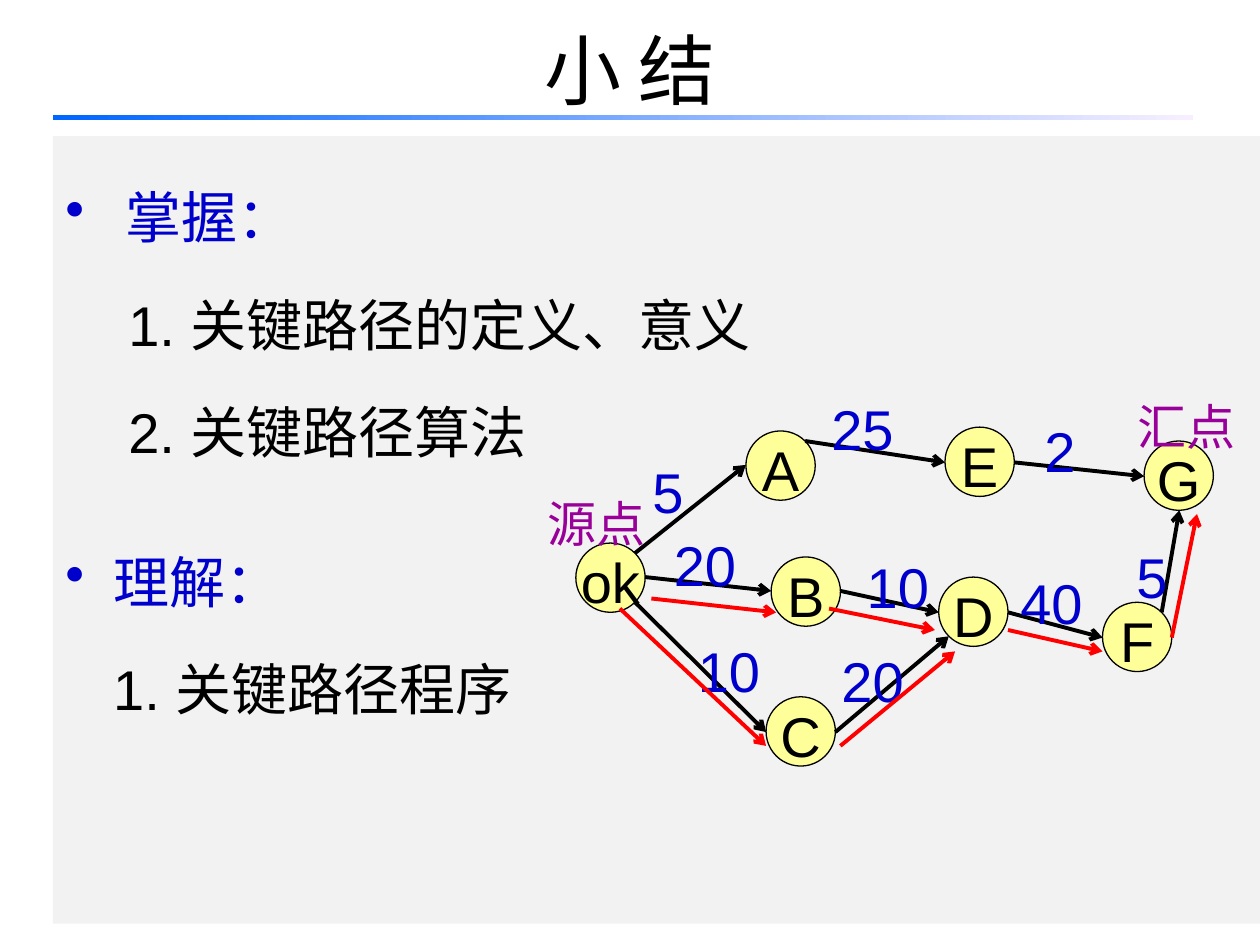
import pptx
import pptx.util
import pptx.dml.color
import pptx.enum.shapes
import pptx.enum.text
from lxml import etree
from pptx.oxml.ns import qn

Inches = pptx.util.Inches
Pt = pptx.util.Pt
RGBColor = pptx.dml.color.RGBColor
MSO_SHAPE = pptx.enum.shapes.MSO_SHAPE
PP_ALIGN = pptx.enum.text.PP_ALIGN
MSO_ANCHOR = pptx.enum.text.MSO_ANCHOR

BLACK = RGBColor(0x00, 0x00, 0x00)
BLUE = RGBColor(0x00, 0x00, 0xCC)
PURPLE = RGBColor(0x99, 0x00, 0x99)
RED = RGBColor(0xFF, 0x00, 0x00)
YELLOW = RGBColor(0xFF, 0xFF, 0x99)
PANEL_GRAY = RGBColor(0xF2, 0xF2, 0xF2)
RULE_START = RGBColor(0x00, 0x66, 0xFF)
RULE_END = RGBColor(0xF7, 0xEF, 0xFF)
NODE_SIZE = 0.55


def style_paragraph(paragraph, text, size, color, alignment, line_spacing):
    paragraph.text = text
    paragraph.alignment = alignment
    paragraph.line_spacing = line_spacing
    paragraph.font.name = "Arial"
    paragraph.font.size = Pt(size)
    paragraph.font.color.rgb = color


def add_arrow(start, end, color):
    arrow = slide.shapes.add_connector(
        pptx.enum.shapes.MSO_CONNECTOR.STRAIGHT,
        Inches(start[0]), Inches(start[1]), Inches(end[0]), Inches(end[1]))
    arrow.line.color.rgb = color
    arrow.line.width = Pt(2.25)
    etree.SubElement(arrow.line._get_or_add_ln(), qn("a:tailEnd"), type="arrow")
    etree.SubElement(arrow._element.spPr, qn("a:effectLst"))


presentation = pptx.Presentation()
presentation.slide_width = Inches(10)
presentation.slide_height = Inches(7.5)
slide = presentation.slides.add_slide(presentation.slide_layouts[6])

# Title
title = slide.shapes.add_textbox(Inches(0.5), Inches(-0.08), Inches(9), Inches(1.25))
title.text_frame.word_wrap = True
title.text_frame.vertical_anchor = MSO_ANCHOR.MIDDLE
style_paragraph(title.text_frame.paragraphs[0], "小 结", 44, BLACK, PP_ALIGN.CENTER, 1.0)

# Gradient rule under the title
rule = slide.shapes.add_shape(
    MSO_SHAPE.RECTANGLE, Inches(0.42), Inches(0.91), Inches(9.05), Inches(0.04))
rule.shadow.inherit = False
rule.line.fill.background()
rule.fill.gradient()
rule.fill.gradient_angle = 0
for stop, color in zip(rule.fill.gradient_stops, (RULE_START, RULE_END)):
    stop.color.rgb = color

# Gray panel with the summary points
panel = slide.shapes.add_shape(
    MSO_SHAPE.RECTANGLE, Inches(0.42), Inches(1.08), Inches(9.58), Inches(6.25))
panel.shadow.inherit = False
panel.fill.solid()
panel.fill.fore_color.rgb = PANEL_GRAY
panel.line.fill.background()
panel.text_frame.word_wrap = True
panel.text_frame.vertical_anchor = MSO_ANCHOR.TOP

# Text, left margin, bulleted heading, space before
points = [
    ("掌握：", 0.48, True, 0),
    ("1. 关键路径的定义、意义", 0.5, False, 0),
    ("2. 关键路径算法", 0.5, False, 0),
    ("理解：", 0.38, True, 24),
    ("1. 关键路径程序", 0.38, False, 0),
]
for index, (text, margin, is_heading, space_before) in enumerate(points):
    frame = panel.text_frame
    paragraph = frame.paragraphs[0] if index == 0 else frame.add_paragraph()
    properties = paragraph._p.get_or_add_pPr()
    properties.set("marL", str(Inches(margin)))
    properties.set("indent", str(-Inches(margin) if is_heading else 0))
    if is_heading:
        etree.SubElement(properties, qn("a:buChar"), char="•")
    else:
        etree.SubElement(properties, qn("a:buNone"))
    color = BLUE if is_heading else BLACK
    style_paragraph(paragraph, text, 32, color, PP_ALIGN.JUSTIFY, 1.6)
    paragraph.space_before = Pt(space_before)

# Graph nodes
nodes = {
    "A": (5.92, 3.42), "B": (6.12, 4.42), "C": (6.08, 5.53), "D": (7.45, 4.58),
    "E": (7.5, 3.39), "G": (9.08, 3.5), "ok": (4.57, 4.31), "F": (8.75, 4.78),
}
for name, (left, top) in nodes.items():
    node = slide.shapes.add_shape(
        MSO_SHAPE.OVAL, Inches(left), Inches(top), Inches(NODE_SIZE), Inches(NODE_SIZE))
    node.shadow.inherit = False
    node.fill.solid()
    node.fill.fore_color.rgb = YELLOW
    node.line.color.rgb = BLACK
    node.line.width = Pt(0.75)
    node.text_frame.word_wrap = False
    node.text_frame.vertical_anchor = MSO_ANCHOR.MIDDLE
    style_paragraph(node.text_frame.paragraphs[0], name, 32, BLACK, PP_ALIGN.CENTER, 1.1)

# Graph edges
edges = [
    ((5.12, 4.58), (6.12, 4.69)),
    ((6.63, 5.81), (7.53, 5.05)),
    ((6.67, 4.69), (7.45, 4.86)),
    ((6.39, 3.5), (7.5, 3.67)),
    ((8, 4.86), (8.75, 5.06)),
    ((8.05, 3.67), (9.08, 3.78)),
    ((5.04, 4.39), (5.92, 3.69)),
    ((5.04, 4.78), (6.08, 5.81)),
    ((9.22, 4.86), (9.36, 4.05)),
]
for start, end in edges:
    add_arrow(start, end, BLACK)

# Edge weights, then source and sink captions
weights = [
    ("5", 5.08, 3.45), ("20", 5.25, 4.03), ("10", 5.44, 4.87), ("20", 6.58, 4.95),
    ("10", 6.78, 4.2), ("25", 6.5, 2.95), ("5", 8.92, 4.12), ("2", 8.19, 3.12),
    ("40", 8, 4.33),
]
labels = [(text, left, top, 0.2 + 0.25 * len(text), 0.71, 32, BLUE)
          for text, left, top in weights]
labels += [("源点", 4.25, 3.75, 0.99, 0.63, 28, PURPLE),
           ("汇点", 8.93, 2.98, 0.99, 0.63, 28, PURPLE)]
for text, left, top, width, height, size, color in labels:
    label = slide.shapes.add_textbox(
        Inches(left), Inches(top), Inches(width), Inches(height))
    label.text_frame.word_wrap = False
    style_paragraph(label.text_frame.paragraphs[0], text, size, color, PP_ALIGN.LEFT, 1.25)

# Critical paths
critical_edges = [
    ((5.17, 4.75), (6.16, 4.86)),
    ((6.58, 4.83), (7.42, 5)),
    ((8, 5), (8.75, 5.17)),
    ((4.92, 4.83), (6.08, 5.92)),
    ((6.67, 5.92), (7.58, 5.17)),
    ((9.3, 5.06), (9.5, 4.08)),
]
for start, end in critical_edges:
    add_arrow(start, end, RED)

presentation.save("out.pptx")
